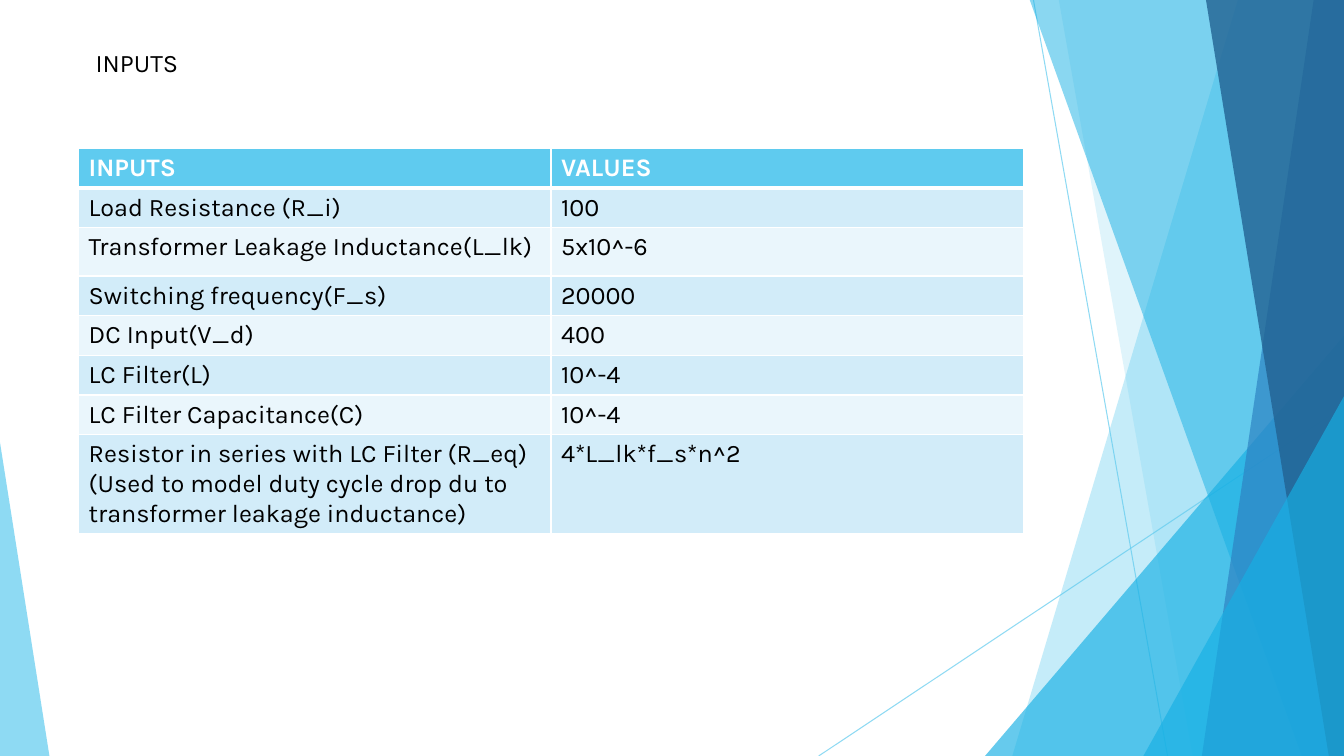
from lxml import etree
from pptx import Presentation
from pptx import util as u
from pptx.dml.color import RGBColor
from pptx.enum import shapes, text
from pptx.oxml import ns

WHITE = RGBColor(0xFF, 0xFF, 0xFF)
BLACK = RGBColor(0, 0, 0)
SKY = RGBColor(0x5F, 0xCB, 0xEF)
CYAN = RGBColor(0x17, 0xB0, 0xE4)
BLUE = RGBColor(0x2E, 0x83, 0xC3)
NAVY = RGBColor(0x22, 0x62, 0x92)
BANDS = RGBColor(0xEA, 0xF6, 0xFC), RGBColor(0xD2, 0xEC, 0xF9)
WIDE, HIGH = 13.33, 7.5

ROWS = [
    ("INPUTS", "VALUES"),
    ("Load Resistance (R_i)", "100"),
    ("Transformer Leakage Inductance(L_lk)", "5x10^-6"),
    ("Switching frequency(F_s)", "20000"),
    ("DC Input(V_d)", "400"),
    ("LC Filter(L)", "10^-4"),
    ("LC Filter Capacitance(C)", "10^-4"),
    ("Resistor in series with LC Filter (R_eq)\n"
     "(Used to model duty cycle drop du to transformer leakage inductance)",
     "4*L_lk*f_s*n^2"),
]
TALLS = [0.36, 0.36, 0.48, 0.36, 0.36, 0.36, 0.36, 0.65]


def write(frame, words, size=18, color=BLACK, bold=False, font="Karla"):
    frame.word_wrap = True
    for i, line in enumerate(words.split("\n")):
        para = frame.paragraphs[0] if i == 0 else frame.add_paragraph()
        run = para.add_run()
        run.text = line
        run.font.size = u.Pt(size)
        run.font.name = font
        run.font.bold = bold
        run.font.color.rgb = color


def fade(part, alpha):
    for tint in part.iter(ns.qn("a:srgbClr")):
        etree.SubElement(tint, ns.qn("a:alpha")).set("val", str(alpha * 1000))


class Page:
    """Draw styled elements on the current slide."""

    def __init__(self, deck):
        self.slide = deck.slides.add_slide(deck.slide_layouts[6])
        self.shapes = self.slide.shapes

    def paint(self, shape, color, alpha):
        shape.shadow.inherit = False
        shape.fill.solid()
        shape.fill.fore_color.rgb = color
        fade(shape.fill._xPr, alpha)
        shape.line.fill.background()

    def line(self, start, end):
        ends = [u.Inches(n) for n in (*start, *end)]
        link = self.shapes.add_connector(shapes.MSO_CONNECTOR.STRAIGHT, *ends)
        link.line.width = u.Pt(0.75)
        link.line.color.rgb = SKY
        props = link._element.spPr
        fade(props, 70)
        etree.SubElement(props, ns.qn("a:effectLst"))

    def facet(self, top, foot, color, alpha):
        spots = [(top, -0.01), (WIDE, -0.01), (WIDE, HIGH), (foot, HIGH)]
        spots = [(u.Inches(x), u.Inches(y)) for x, y in spots]
        pen = self.shapes.build_freeform(*spots[0])
        pen.add_line_segments(spots[1:], close=True)
        self.paint(pen.convert_to_shape(), color, alpha)

    def wedge(self, left, top, wide, peak, color, alpha):
        box = [u.Inches(n) for n in (left, top, wide, HIGH - top)]
        shape = self.shapes.add_shape(shapes.MSO_SHAPE.ISOSCELES_TRIANGLE, *box)
        shape.adjustments[0] = peak
        self.paint(shape, color, alpha)

    def title(self, words, *box):
        area = self.shapes.add_textbox(*[u.Inches(n) for n in box])
        write(area.text_frame, words)
        area.text_frame.auto_size = text.MSO_AUTO_SIZE.SHAPE_TO_FIT_TEXT

    def edge(self, cell, row):
        props = cell._tc.get_or_add_tcPr()
        widths = {"L": 1, "R": 1, "T": 3 if row == 1 else 1,
                  "B": 3 if row == 0 else 1}
        for i, (side, width) in enumerate(widths.items()):
            rule = etree.Element(ns.qn("a:ln" + side), w=str(u.Pt(width)))
            fill = etree.SubElement(rule, ns.qn("a:solidFill"))
            etree.SubElement(fill, ns.qn("a:srgbClr"), val=str(WHITE))
            props.insert(i, rule)

    def table(self, rows, talls, left, top, wide):
        box = [u.Inches(n) for n in (left, top, wide, sum(talls))]
        grid = self.shapes.add_table(len(rows), len(rows[0]), *box).table
        for r, (row, tall) in enumerate(zip(rows, talls)):
            grid.rows[r].height = u.Inches(tall)
            for c, words in enumerate(row):
                cell = grid.cell(r, c)
                head = r == 0
                cell.fill.solid()
                cell.fill.fore_color.rgb = SKY if head else BANDS[r % 2]
                self.edge(cell, r)
                write(cell.text_frame, words, bold=head,
                      color=WHITE if head else BLACK)


def main():
    deck = Presentation()
    deck.slide_width = u.Inches(WIDE)
    deck.slide_height = u.Inches(HIGH)
    page = Page(deck)
    page.line((10.25, 0), (11.58, HIGH))
    page.line((WIDE, 4.03), (8.12, HIGH))
    page.facet(12.28, 10.04, SKY, 36)
    page.facet(10.5, 11.83, SKY, 20)
    page.wedge(9.77, 3.33, 3.56, 1, CYAN, 66)
    page.facet(10.21, 12.91, CYAN, 50)
    page.facet(13.03, 11.92, BLUE, 70)
    page.facet(11.96, 13.18, NAVY, 80)
    page.wedge(11.34, 3.93, 1.99, 1, CYAN, 66)
    page.wedge(0, 4.39, 0.49, 0, SKY, 70)
    page.table(ROWS, TALLS, 0.78, 1.47, 9.37)
    page.title("INPUTS", 0.85, 0.42, 6.69, 0.4)
    deck.save("out.pptx")


if __name__ == "__main__":
    main()
